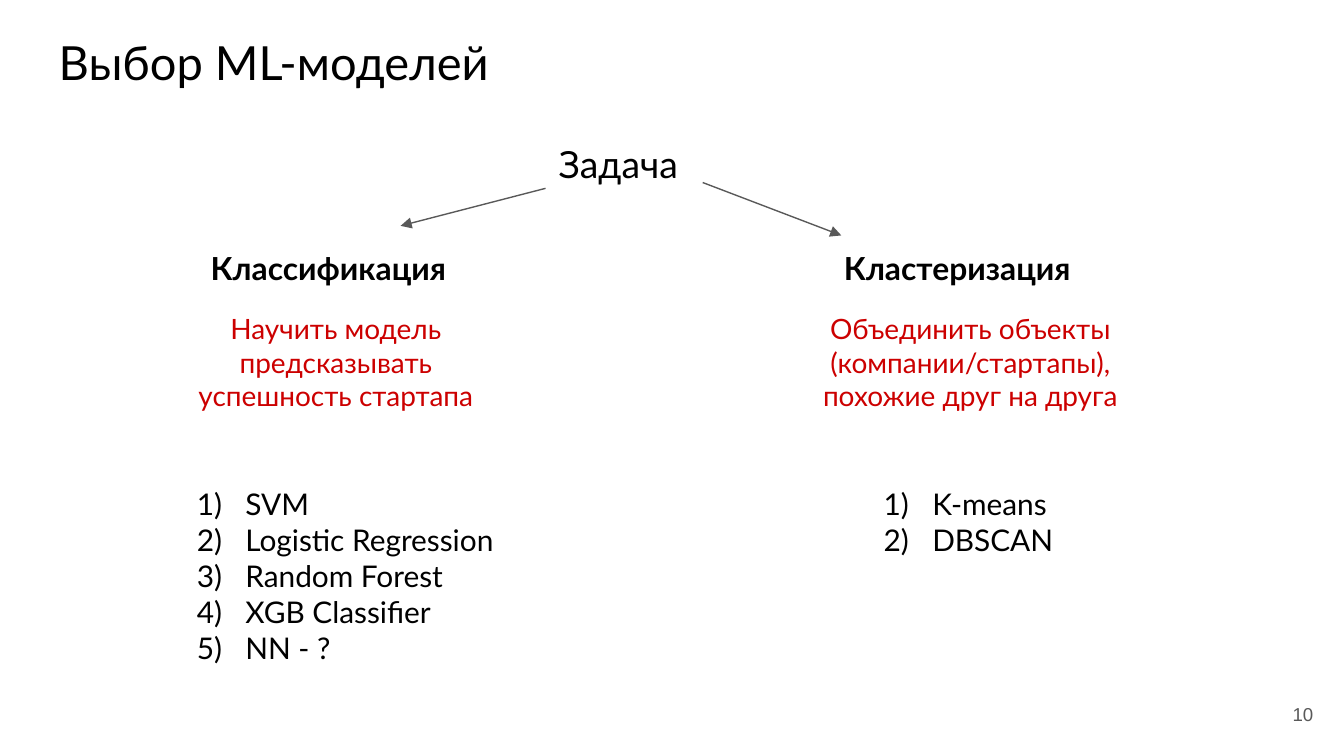
from dataclasses import dataclass

from pptx import Presentation
from pptx.dml.color import RGBColor as RGB
from pptx.enum.shapes import MSO_CONNECTOR as Link
from pptx.enum.text import MSO_ANCHOR as Anchor, PP_ALIGN as Align
from pptx.oxml.ns import qn
from pptx.util import Cm, Pt
from lxml.etree import SubElement as Sub


@dataclass(frozen=True)
class Theme:
    face: str = "Lato"
    plain: str = "Arial"
    ink: RGB = RGB(0x00, 0x00, 0x00)
    red: RGB = RGB(0xCC, 0x00, 0x00)
    gray: RGB = RGB(0x59, 0x59, 0x59)
    title: float = 25.2
    task: float = 20
    head: float = 17
    item: float = 16
    goal: float = 15
    page: float = 10
    rule: float = 0.75


T = Theme()
INSET = Cm(0.25)
INDENT = Cm(1.27)
HANG = Cm(-0.92)


def add_text(slide, box, lines, size, color=T.ink, bold=False,
             align=Align.LEFT, face=T.face, anchor=Anchor.TOP):
    """Add a text box with one paragraph per line; box is in centimetres."""
    frame = slide.shapes.add_textbox(*map(Cm, box)).text_frame
    frame.word_wrap = True
    frame.vertical_anchor = anchor
    frame.margin_left = frame.margin_right = INSET
    frame.margin_top = frame.margin_bottom = INSET
    frame.text = "\n".join(lines)
    for para in frame.paragraphs:
        para.alignment = align
        font = para.font
        font.name, font.size, font.bold = face, Pt(size), bold
        font.color.rgb = color
    return frame


def add_goal(slide, box, text):
    """Add a red centred note, indented from the left."""
    frame = add_text(slide, box, [text], T.goal, T.red, align=Align.CENTER)
    frame.paragraphs[0]._p.get_or_add_pPr().set("marL", str(INDENT))


def add_list(slide, box, items):
    """Add a list numbered 1), 2), ..."""
    frame = add_text(slide, box, items, T.item)
    for para in frame.paragraphs:
        props = para._p.get_or_add_pPr()
        props.set("marL", str(INDENT))
        props.set("indent", str(HANG))
        mark = props.makeelement(qn("a:buAutoNum"), {"type": "arabicParenR"})
        props.insert(0, mark)


def add_arrow(slide, start, end):
    arrow = slide.shapes.add_connector(
        Link.STRAIGHT, *map(Cm, (*start, *end)))
    arrow.line.color.rgb = T.gray
    arrow.line.width = Pt(T.rule)
    Sub(arrow.line._get_or_add_ln(), qn("a:tailEnd"), type="triangle")
    Sub(arrow._element.spPr, qn("a:effectLst"))


def add_branch(slide, head, goal, items, lefts, span):
    """Add a heading, goal and list; span is the list's width and height."""
    head_x, goal_x, list_x = lefts
    add_text(slide, (head_x, 4.45, 6.65, 1.24), [head], T.head, bold=True)
    add_goal(slide, (goal_x, 5.64, 8.43, 2.44), goal)
    add_list(slide, (list_x, 8.94, *span), items)


def main():
    deck = Presentation()
    deck.slide_width, deck.slide_height = Cm(25.4), Cm(14.29)
    slide = deck.slides.add_slide(deck.slide_layouts[6])

    add_text(slide, (0.86, 0.38, 23.67, 1.6), ["Выбор ML-моделей"], T.title)
    add_text(slide, (10.31, 2.41, 3.66, 1.37), ["Задача"], T.task)
    add_arrow(slide, (10.31, 3.56), (7.57, 4.27))
    add_arrow(slide, (13.28, 3.45), (15.9, 4.45))

    add_branch(slide, "Классификация",
               "Научить модель предсказывать успешность стартапа",
               ["SVM", "Logistic Regression", "Random Forest",
                "XGB Classifier", "NN - ?"],
               (3.73, 1.5, 3.12), (7.52, 3.94))
    add_branch(slide, "Кластеризация",
               "Объединить объекты (компании/стартапы), похожие друг на друга",
               ["K-means", "DBSCAN"],
               (15.7, 13.49, 16.1), (5.33, 1.88))

    add_text(slide, (23.55, 12.95, 1.52, 1.09), ["10"], T.page, T.gray,
             align=Align.RIGHT, face=T.plain, anchor=Anchor.MIDDLE)
    deck.save("out.pptx")


if __name__ == "__main__":
    main()
